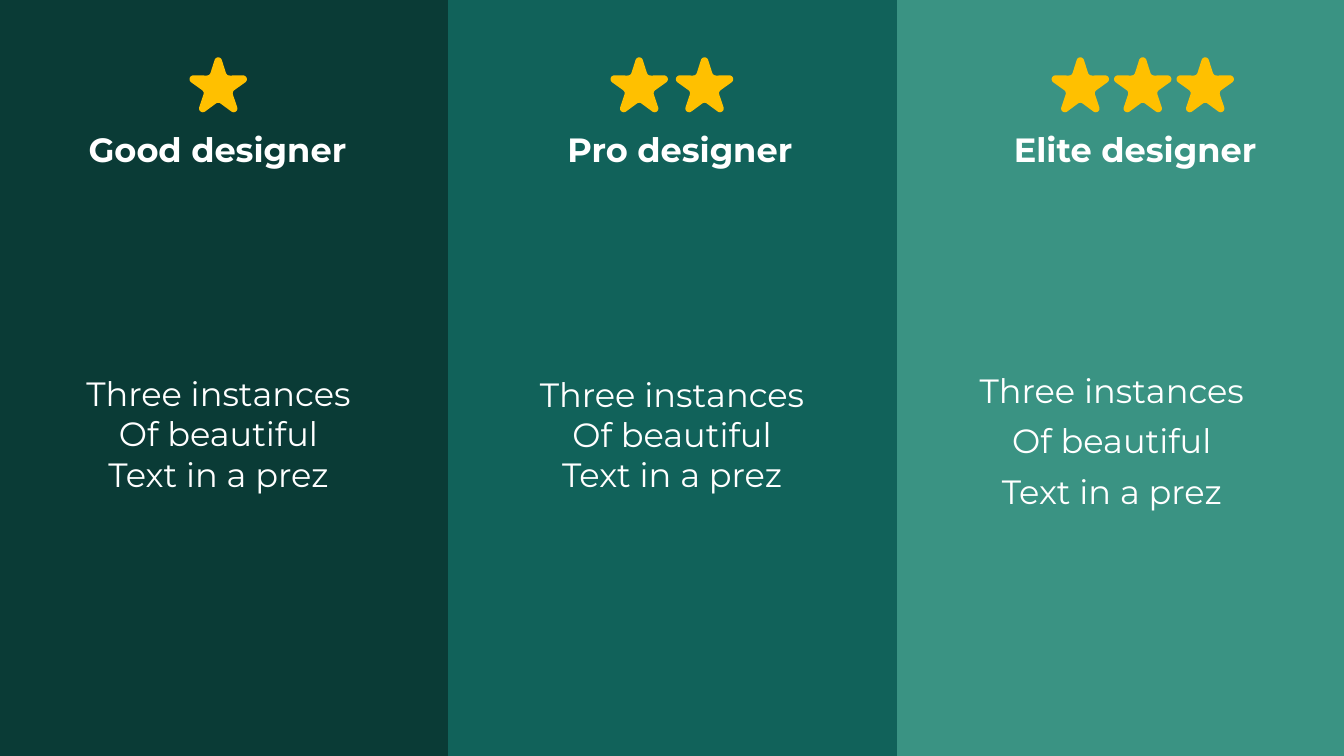
from math import cos, radians, sin

from pptx import Presentation
from pptx.dml.color import RGBColor
from pptx.enum.shapes import MSO_SHAPE as Shape
from pptx.enum.text import MSO_AUTO_SIZE as AutoSize, PP_ALIGN as Align
from pptx.util import Pt

WHITE, GOLD = "FFFFFF", "FFC000"
LINES = ["Three instances", "Of beautiful", "Text in a prez"]
TITLE_TOP, STAR_CENTER_Y = 88.6, 62.4
TIP_DISTANCE, TIP_RADIUS = 18.7, 2.7

# Angle from the arm's axis and distance from the star's center
INNER_CORNER = [(27, 11.9), (30.5, 11.3), (36, 11), (41.5, 11.3), (45, 11.9)]


def paint(shape, color):
    shape.shadow.inherit = False
    shape.fill.solid()
    shape.fill.fore_color.rgb = RGBColor.from_string(color)
    shape.line.fill.background()


def add_text(left, top, width, height, lines, align, bold=False, wrap=False):
    box = slide.shapes.add_textbox(Pt(left), Pt(top), Pt(width), Pt(height))
    text_frame = box.text_frame
    text_frame.text = "\n".join(lines)
    text_frame.word_wrap = wrap
    text_frame.auto_size = AutoSize.SHAPE_TO_FIT_TEXT
    for paragraph in text_frame.paragraphs:
        paragraph.alignment = align
        font = paragraph.runs[0].font
        font.name, font.size, font.bold = "Montserrat", Pt(24), bold
        font.color.rgb = RGBColor.from_string(WHITE)


presentation = Presentation()
presentation.slide_width, presentation.slide_height = Pt(960), Pt(540)
slide = presentation.slides.add_slide(presentation.slide_layouts[6])

# Panels: left, width, color
for left, width, color in [(640, 320, "3A9383"), (320, 320.7, "11625A"), (0, 320, "0A3B36")]:
    panel = slide.shapes.add_shape(Shape.RECTANGLE, Pt(left), 0, Pt(width), Pt(540))
    paint(panel, color)

# Titles: text, left, width
for title, left, width in [
    ("Good designer", 56.2, 200.2),
    ("Pro designer", 398.2, 177.1),
    ("Elite designer", 717.1, 190.1),
]:
    add_text(left, TITLE_TOP, width, 36, [title], Align.LEFT, bold=True)

# Body text: one box in the first two columns, one box a line in the third
for left, top in [(53, 262.8), (377, 263.2)]:
    add_text(left, top, 206, 94.3, LINES, Align.CENTER)
for index, line in enumerate(LINES):
    add_text(658.8, 260.6 + 36 * index, 270.7, 36, [line], Align.CENTER, wrap=True)

# Rounded star outline around (0, 0)
star_points = []
for arm in range(0, 360, 72):
    axis = radians(arm)
    for turn in range(-72, 73, 12):
        angle = radians(arm + turn)
        star_points.append((
            TIP_DISTANCE * sin(axis) + TIP_RADIUS * sin(angle),
            -TIP_DISTANCE * cos(axis) - TIP_RADIUS * cos(angle),
        ))
    for turn, distance in INNER_CORNER:
        angle = radians(arm + turn)
        star_points.append((distance * sin(angle), -distance * cos(angle)))

# Star rows: first center, pitch, count
for first, pitch, count in [(155.9, 0, 1), (456.6, 46.7, 2), (771.7, 44.6, 3)]:
    for index in range(count):
        center_x = first + pitch * index
        outline = [(Pt(center_x + x), Pt(STAR_CENTER_Y + y)) for x, y in star_points]
        builder = slide.shapes.build_freeform(*outline[0])
        builder.add_line_segments(outline[1:], close=True)
        paint(builder.convert_to_shape(), GOLD)

presentation.save("out.pptx")
